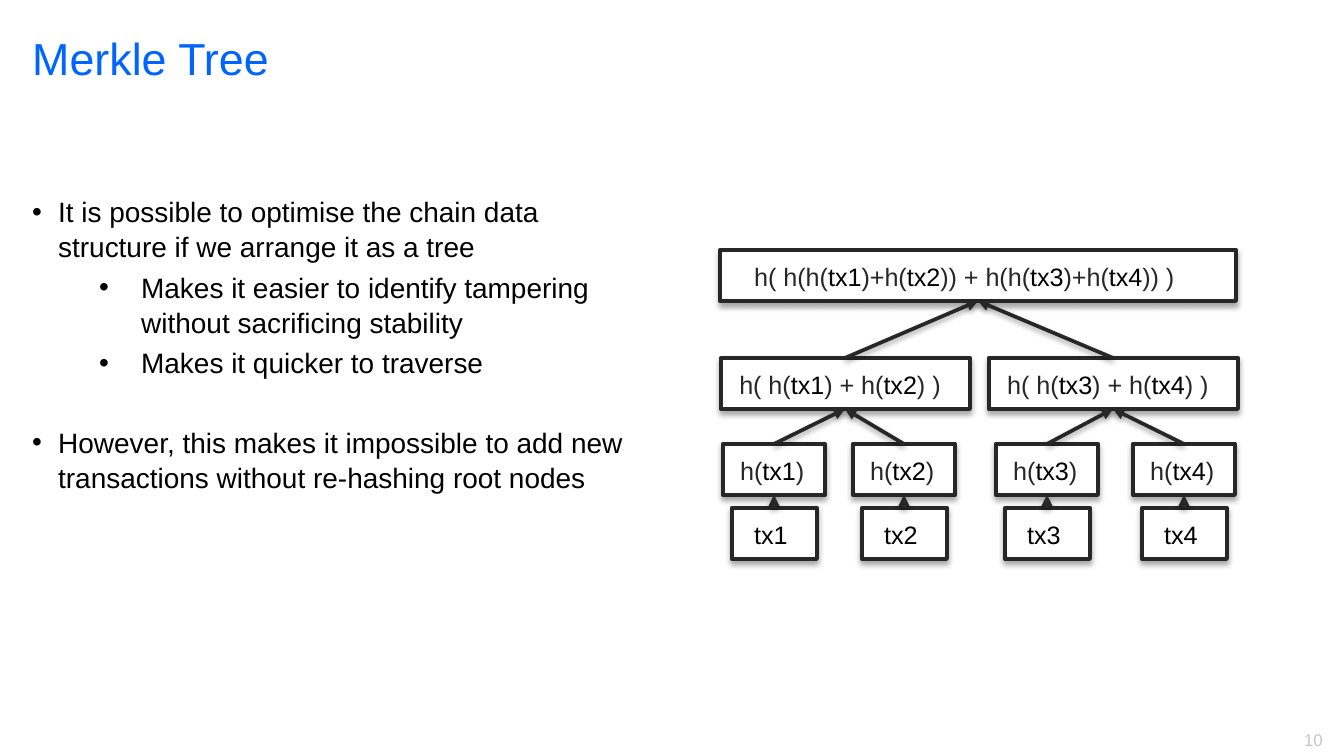
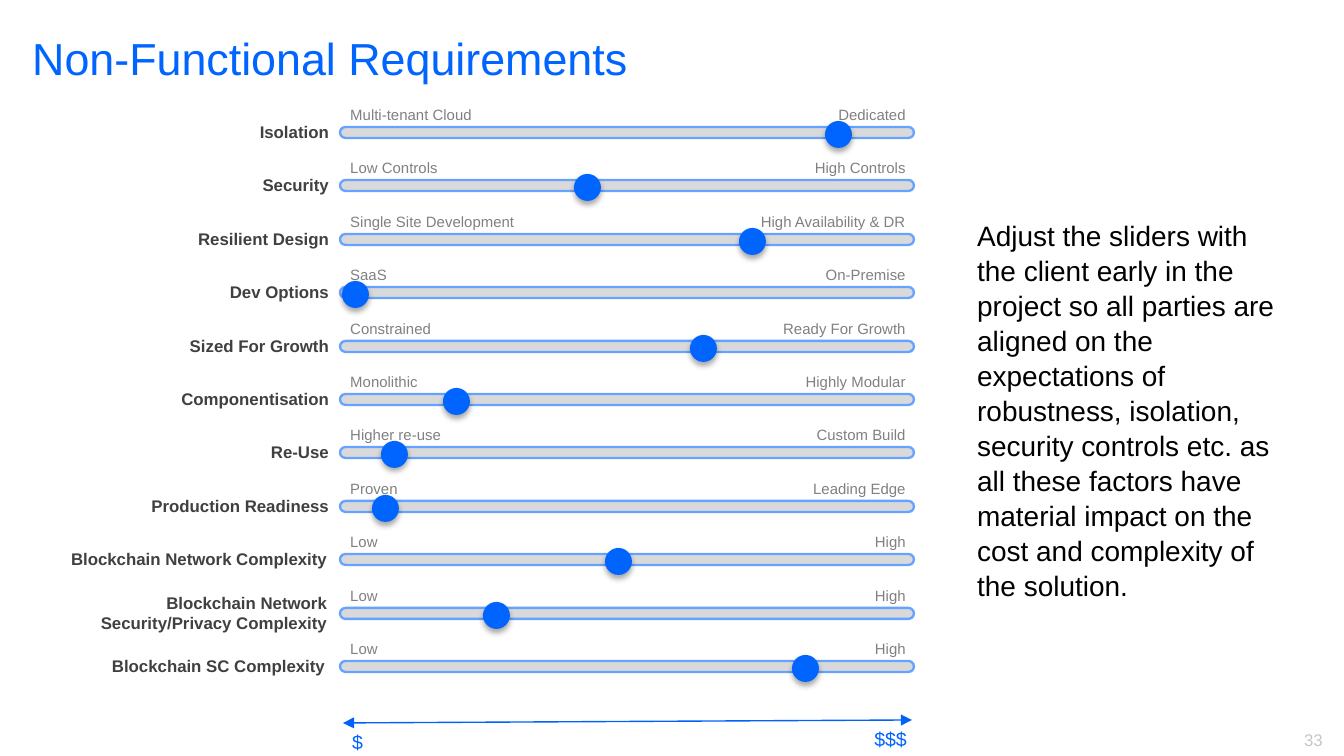
from dataclasses import dataclass

from lxml import etree
from pptx import Presentation
from pptx.dml.color import RGBColor
from pptx.enum.shapes import MSO_CONNECTOR, MSO_SHAPE
from pptx.enum.text import MSO_ANCHOR, PP_ALIGN
from pptx.oxml.ns import qn
from pptx.util import Emu, Pt

RECT, ROUNDED, OVAL = MSO_SHAPE.RECTANGLE, MSO_SHAPE.ROUNDED_RECTANGLE, MSO_SHAPE.OVAL
STRAIGHT = MSO_CONNECTOR.STRAIGHT
LEFT, RIGHT = PP_ALIGN.LEFT, PP_ALIGN.RIGHT
TOP, MIDDLE = MSO_ANCHOR.TOP, MSO_ANCHOR.MIDDLE
PX_PER_INCH = 134.4
SLIDE_WIDTH, SLIDE_HEIGHT = 1344, 756


@dataclass(frozen=True)
class Theme:
    font: str = "Arial"
    blue: str = "0064FF"
    arrow_blue: str = "0062F9"
    track_edge: str = "66A2FF"
    track: str = "D9D9D9"
    white: str = "FFFFFF"
    black: str = "000000"
    ink: str = "272727"
    name_grey: str = "404040"
    label_grey: str = "808080"
    page_grey: str = "C6C6C6"
    title_size: float = 24
    body_size: float = 15
    node_size: float = 13.5
    cost_size: float = 10.5
    name_size: float = 9
    label_size: float = 8
    page_size: float = 9
    body_leading: float = 1.04


THEME = Theme()

# Text, level, space before in points
TREE_POINTS = [
    ("It is possible to optimise the chain data structure if we arrange it as a tree", 0, 0),
    ("Makes it easier to identify tampering without sacrificing stability", 1, 3),
    ("Makes it quicker to traverse", 1, 3),
    ("However, this makes it impossible to add new transactions without re-hashing root nodes",
     0, 24),
]
BULLET_INDENTS = [(26, -26), (109, -42)]

# Top, node width, caption offset, then (centre, caption) per node;
# "|" switches between ink and black.
NODE_HEIGHT = 51
TREE_LEVELS = [
    (250, 516, 21, [(978, "h( h(h(|tx1|)+h(|tx2|)) + h(h(|tx3|)+h(|tx4|)) )")]),
    (358, 249, 5, [(845, "h( h(|tx1|) + h(|tx2|) )"), (1113, "h( h(|tx3|) + h(|tx4|) )")]),
    (444, 102, 4, [(774, "h(|tx1|)"), (904, "h(|tx2|)"), (1047, "h(|tx3|)"), (1184, "h(|tx4|)")]),
    (508, 85, 9, [(774, "|tx1"), (904, "|tx2"), (1047, "|tx3"), (1184, "|tx4")]),
]

# Left, width and height of a slider name
SHORT_NAME = (87, 255, 34)
LONG_NAME = (24, 316, 34)
TWO_LINE_NAME = (24, 316, 54)
LAST_NAME = (36, 302, 34)

# Name, name frame, low end and its width, high end and its width, knob centre
SLIDERS = [
    ("Isolation", SHORT_NAME, "Multi-tenant Cloud", 157, "Dedicated", 106, 838),
    ("Security", SHORT_NAME, "Low Controls", 121, "High Controls", 134, 587),
    ("Resilient Design", SHORT_NAME, "Single Site Development", 192,
     "High Availability & DR", 180, 752),
    ("Dev Options", SHORT_NAME, "SaaS", 67, "On-Premise", 134, 355),
    ("Sized For Growth", SHORT_NAME, "Constrained", 121, "Ready For Growth", 161, 703),
    ("Componentisation", SHORT_NAME, "Monolithic", 103, "Highly Modular", 134, 456),
    ("Re-Use", SHORT_NAME, "Higher re-use", 121, "Custom Build", 134, 394),
    ("Production Readiness", SHORT_NAME, "Proven", 85, "Leading Edge", 134, 385),
    ("Blockchain Network Complexity", LONG_NAME, "Low", 67, "High", 69, 618),
    ("Blockchain Network Security/Privacy Complexity", TWO_LINE_NAME,
     "Low", 63, "High", 69, 496),
    ("Blockchain SC Complexity", LAST_NAME, "Low", 63, "High", 69, 805),
]
FIRST_TRACK, LAST_TRACK = 127, 661
TRACK_LEFT, TRACK_WIDTH, TRACK_HEIGHT = 340, 574, 11
LABELS_LEFT, LABELS_RIGHT = 337, 919
KNOB = 27

ADVICE = (
    "Adjust the sliders with the client early in the project so all parties are aligned "
    "on the expectations of robustness, isolation, security controls etc. as all these "
    "factors have material impact on the cost and complexity of the solution."
)


def px(value):
    return Emu(round(value * 914400 / PX_PER_INCH))


def rgb(colour):
    return RGBColor.from_string(colour)


def add_span(para, text, size, colour, bold=False):
    span = para.add_run()
    span.text = text
    span.font.name = THEME.font
    span.font.size = Pt(size)
    span.font.bold = bold
    span.font.color.rgb = rgb(colour)


def add_box(slide, left, top, width, height, anchor=TOP):
    """Add an empty wrapping text box and return its text frame."""
    box = slide.shapes.add_textbox(px(left), px(top), px(width), px(height))
    frame = box.text_frame
    frame.word_wrap = True
    frame.vertical_anchor = anchor
    return frame


def add_label(slide, frame, text, size, colour, align=LEFT, bold=False, anchor=TOP):
    para = add_box(slide, *frame, anchor).paragraphs[0]
    para.alignment = align
    add_span(para, text, size, colour, bold)
    return para


def set_effects(shape, shadow):
    """Give the shape a soft drop shadow, or an empty effect list for none."""
    effects = etree.SubElement(shape._element.spPr, qn("a:effectLst"))
    if shadow:
        outer = etree.SubElement(effects, qn("a:outerShdw"), blurRad=str(Pt(3.1)),
                                 dist=str(Pt(1.8)), dir="5400000", rotWithShape="0")
        tint = etree.SubElement(outer, qn("a:srgbClr"), val=THEME.black)
        etree.SubElement(tint, qn("a:alpha"), val="35000")


def add_solid(slide, kind, frame, fill, edge=None, edge_width=0, shadow=False):
    solid = slide.shapes.add_shape(kind, *map(px, frame))
    solid.fill.solid()
    solid.fill.fore_color.rgb = rgb(fill)
    if edge:
        solid.line.color.rgb = rgb(edge)
        solid.line.width = Pt(edge_width)
    else:
        solid.line.fill.background()
    set_effects(solid, shadow)
    return solid


def add_arrow(slide, start, end, colour, width, ends=("tailEnd",), shadow=False):
    arrow = slide.shapes.add_connector(STRAIGHT, *map(px, start + end))
    arrow.line.color.rgb = rgb(colour)
    arrow.line.width = Pt(width)
    line = arrow._element.spPr.find(qn("a:ln"))
    for tip in ends:
        etree.SubElement(line, qn(f"a:{tip}"), type="triangle")
    set_effects(arrow, shadow)


def add_slide(deck, title, number):
    slide = deck.slides.add_slide(deck.slide_layouts[6])
    add_label(slide, (1258, 723, 78, 34), number, THEME.page_size, THEME.page_grey, RIGHT)
    para = add_label(slide, (19, 22, 1142, 149), title, THEME.title_size, THEME.blue)
    para.line_spacing = THEME.body_leading
    return slide


def add_bullets(slide, points):
    frame = add_box(slide, 19, 187, 641, 435)
    for index, (text, level, gap) in enumerate(points):
        para = frame.add_paragraph() if index else frame.paragraphs[0]
        para.level = level
        para.line_spacing = THEME.body_leading
        para.space_before = Pt(gap)
        margin, indent = BULLET_INDENTS[level]
        properties = para._p.get_or_add_pPr()
        properties.set("marL", str(px(margin)))
        properties.set("indent", str(px(indent)))
        etree.SubElement(properties, qn("a:buFont"), typeface=THEME.font)
        etree.SubElement(properties, qn("a:buChar"), char="•")
        add_span(para, text, THEME.body_size, THEME.black)


def add_node(slide, centre, top, width, offset, caption):
    left = centre - width // 2
    add_solid(slide, RECT, (left, top, width, NODE_HEIGHT), THEME.white, THEME.ink, 2.25, True)
    para = add_box(slide, left + offset, top + 5, width - offset, 44).paragraphs[0]
    for index, text in enumerate(caption.split("|")):
        if text:
            add_span(para, text, THEME.node_size, THEME.black if index % 2 else THEME.ink)


def add_tree(slide, levels):
    for top, width, offset, nodes in levels:
        for centre, caption in nodes:
            add_node(slide, centre, top, width, offset, caption)
    for parent, child in zip(levels, levels[1:]):
        parents, children = parent[3], child[3]
        fan_out = len(children) // len(parents)
        for index, (centre, _) in enumerate(children):
            target = parents[index // fan_out][0]
            add_arrow(slide, (centre, child[0]), (target, parent[0] + NODE_HEIGHT),
                      THEME.ink, 2, shadow=True)


def add_slider(slide, top, name, name_frame, low, low_width, high, high_width, knob):
    left, width, height = name_frame
    add_label(slide, (left, top + 5 - height // 2, width, height), name,
              THEME.name_size, THEME.name_grey, RIGHT, True, MIDDLE)
    add_label(slide, (LABELS_LEFT, top - 28, low_width, 32), low,
              THEME.label_size, THEME.label_grey)
    add_label(slide, (LABELS_RIGHT - high_width, top - 28, high_width, 32), high,
              THEME.label_size, THEME.label_grey, RIGHT)
    track = add_solid(slide, ROUNDED, (TRACK_LEFT, top, TRACK_WIDTH, TRACK_HEIGHT),
                      THEME.track, THEME.track_edge, 1.25)
    track.adjustments[0] = 0.5
    add_solid(slide, OVAL, (knob - KNOB // 2, top - 6, KNOB, KNOB), THEME.blue, shadow=True)


def add_cost_scale(slide):
    add_arrow(slide, (343, 723), (912, 720), THEME.arrow_blue, 0.75, ("headEnd", "tailEnd"))
    add_label(slide, (339, 723, 48, 39), "$", THEME.cost_size, THEME.blue)
    add_label(slide, (847, 720, 73, 39), "$$$", THEME.cost_size, THEME.blue, RIGHT)


def build_merkle_tree(deck):
    slide = add_slide(deck, "Merkle Tree", "10")
    add_bullets(slide, TREE_POINTS)
    add_tree(slide, TREE_LEVELS)


def build_requirements(deck):
    slide = add_slide(deck, "Non-Functional Requirements", "33")
    pitch = (LAST_TRACK - FIRST_TRACK) / (len(SLIDERS) - 1)
    for index, slider in enumerate(SLIDERS):
        add_slider(slide, round(FIRST_TRACK + index * pitch), *slider)
    advice = add_label(slide, (964, 211, 329, 406), ADVICE, THEME.body_size, THEME.black)
    advice.line_spacing = THEME.body_leading
    add_cost_scale(slide)


def main():
    deck = Presentation()
    deck.slide_width, deck.slide_height = px(SLIDE_WIDTH), px(SLIDE_HEIGHT)
    build_merkle_tree(deck)
    build_requirements(deck)
    deck.save("out.pptx")


if __name__ == "__main__":
    main()
